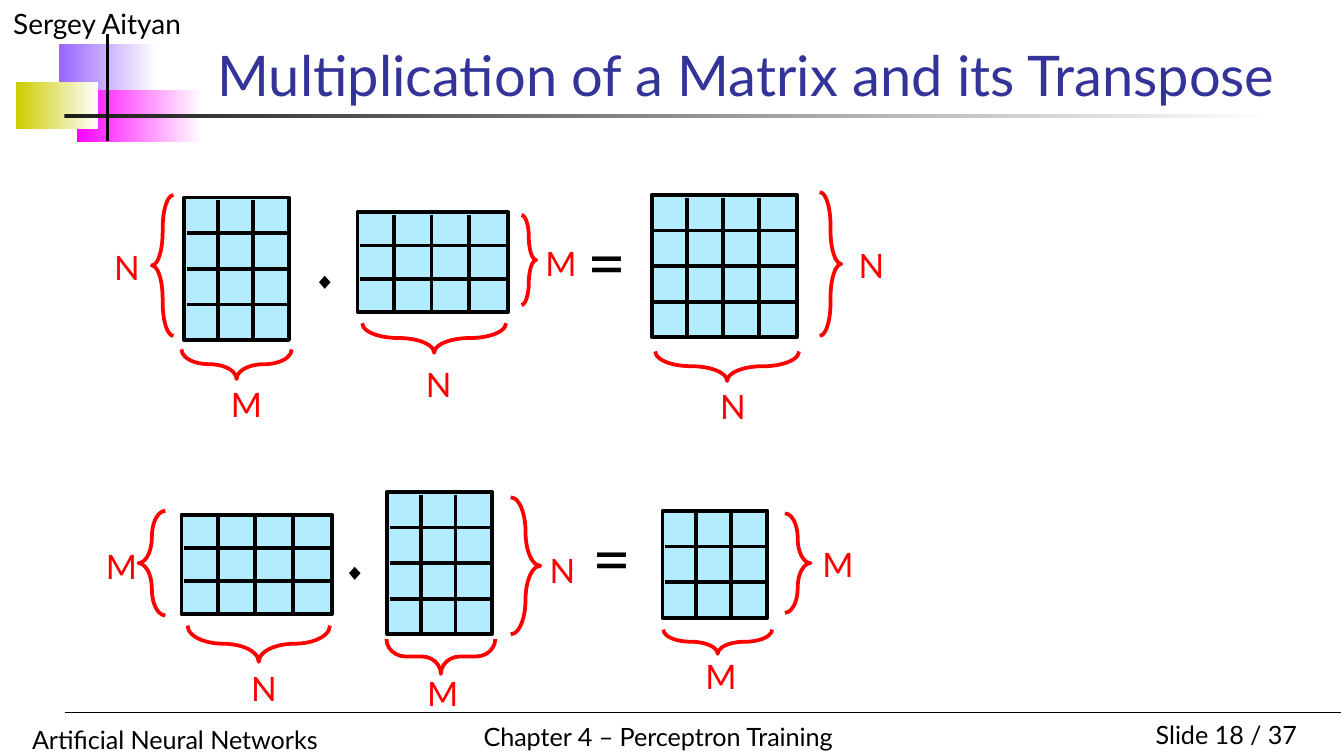
from pptx import Presentation
from pptx.dml.color import RGBColor
from pptx.enum.shapes import MSO_CONNECTOR, MSO_SHAPE
from pptx.enum.text import MSO_ANCHOR, PP_ALIGN
from pptx.oxml import parse_xml
from pptx.oxml.ns import nsdecls
from pptx.util import Inches, Pt

deck = Presentation()
deck.slide_width = Inches(10)
deck.slide_height = deck.slide_width * 9 // 16
page = deck.slides.add_slide(deck.slide_layouts[6])
column, row = deck.slide_width / 100, deck.slide_height / 56.25


def cells(*values):
    return [round(value * (row if index % 2 else column)) for index, value in enumerate(values)]


def color(hex_value):
    return RGBColor.from_string(hex_value)


gradient_bars = [
    (4.4, 3.3, 7.3, 3.9, "9966FF"),
    (5.7, 6.7, 9.3, 3.9, "FF00FF"),
    (1.2, 6.1, 6.1, 3.5, "CCCC00"),
    (4.8, 8.5, 90, 0.3, "1C1C1C"),
]
for *place, start in gradient_bars:
    bar = page.shapes.add_shape(MSO_SHAPE.RECTANGLE, *cells(*place))
    bar.shadow.inherit = False
    bar.line.fill.background()
    bar.fill.gradient()
    bar.fill.gradient_angle = 0
    for stop, position, shade in zip(bar.fill.gradient_stops, (0, 1), (start, "FFFFFF")):
        stop.position = position
        stop.color.rgb = color(shade)

lines = [(4.8, 53, 99.8, 53, 0.75), (8, 2.5, 8, 10.5, 2)]

matrices = [
    (13.7, 14.7, 7.8, 10.6, 4, 3),
    (26.6, 15.8, 11.2, 7.4, 3, 4),
    (48.5, 14.5, 10.8, 10.6, 4, 4),
    (13.5, 38.3, 11.2, 7.4, 3, 4),
    (28.8, 36.6, 7.8, 10.6, 4, 3),
    (49.3, 38, 7.8, 8, 3, 3),
]
for left, top, width, height, row_count, column_count in matrices:
    matrix = page.shapes.add_shape(MSO_SHAPE.RECTANGLE, *cells(left, top, width, height))
    matrix.shadow.inherit = False
    matrix.fill.solid()
    matrix.fill.fore_color.rgb = color("B3EBFF")
    matrix.line.color.rgb = color("000000")
    matrix.line.width = Pt(2)
    for index in range(1, row_count):
        y = top + height * index / row_count
        lines.append((left + 0.2, y, left + width + 0.1, y, 2))
    for index in range(1, column_count):
        x = left + width * index / column_count - 0.1
        lines.append((x, top + 0.2, x, top + height - 0.1, 2))

for *ends, weight in lines:
    line = page.shapes.add_connector(MSO_CONNECTOR.STRAIGHT, *cells(*ends))
    line.line.color.rgb = color("000000")
    line.line.width = Pt(weight)
    line._element.spPr.append(parse_xml(f"<a:effectLst {nsdecls('a')}/>"))

facing_right, facing_down, facing_left = 0, 90, 180
braces = [
    (11.3, 14.5, 1.6, 10.5, facing_left, 1.56),
    (38.8, 16, 1.1, 6.7, facing_right, 1.56),
    (61, 14.3, 1.6, 10.7, facing_right, 1.56),
    (16.5, 23, 2.2, 8.2, facing_down, 1.56),
    (31.2, 19.8, 2.2, 10.7, facing_down, 1.56),
    (53, 21.9, 2.2, 10.7, facing_down, 1.56),
    (10.3, 38, 2, 7.8, facing_left, 1.56),
    (38, 37, 2.2, 10.2, facing_right, 1.56),
    (58.4, 38.2, 1.9, 7.4, facing_right, 1.56),
    (17.9, 42.6, 2.7, 10.6, facing_down, 1.56),
    (31.5, 44.8, 2.6, 8.1, facing_down, 0.55),
    (52.5, 43.7, 1.8, 8.1, facing_down, 1.56),
]
for *place, rotation, curve in braces:
    brace = page.shapes.add_shape(MSO_SHAPE.RIGHT_BRACE, *cells(*place))
    brace.shadow.inherit = False
    brace.rotation = rotation
    brace.adjustments[0] = curve
    brace.fill.background()
    brace.line.color.rgb = color("FF0000")
    brace.line.width = Pt(2)

styles = {
    "title": ({"size": Pt(30)}, "333399"),
    "author": ({"size": Pt(15)}, "000000"),
    "footer": ({"size": Pt(13.5)}, "000000"),
    "dimension": ({"size": Pt(18)}, "FF0000"),
    "operator": ({"size": Pt(36)}, "000000"),
}
texts = [
    ("Sergey Aityan", "author", 0, 0, 25, 3.5),
    ("Slide 18 / 37", "footer", 82.5, 53, 15, 3.3),
    ("Artificial Neural Networks", "footer", 1.4, 53.4, 37, 3.3),
    ("Chapter 4 – Perceptron Training", "footer", 35, 53.2, 28.6, 3.3),
    ("Multiplication of a Matrix and its Transpose", "title", 15.2, 3.1, 82.3, 5.4),
    ("٠", "operator", 22, 17, 3.8, 6.2),
    ("=", "operator", 42.7, 15.9, 3.8, 6.2),
    ("٠", "operator", 24.2, 38.7, 3.8, 6.2),
    ("=", "operator", 43.1, 37.9, 3.8, 6.2),
]
dimensions = {
    "N": [(7.5, 17.9), (30.7, 26.6), (52.6, 28.2), (62.9, 17.7), (39.9, 40.4), (17.7, 49.2)],
    "M": [(16.2, 28.1), (39.6, 17.6), (6.9, 40.1), (30.8, 49.6), (60.2, 40), (51.5, 48.3)],
}
for letter, places in dimensions.items():
    texts += [(letter, "dimension", *place, 3.9, 3.6) for place in places]

for words, style, *place in texts:
    box = page.shapes.add_textbox(*cells(*place))
    frame = box.text_frame
    frame.word_wrap = True
    frame.vertical_anchor = MSO_ANCHOR.BOTTOM if style == "title" else MSO_ANCHOR.TOP
    para = frame.paragraphs[0]
    para.alignment = PP_ALIGN.RIGHT if words.startswith("Slide") else PP_ALIGN.LEFT
    span = para.add_run()
    span.text = words
    font_format, shade = styles[style]
    for name, value in {"name": "Lato", **font_format}.items():
        setattr(span.font, name, value)
    span.font.color.rgb = color(shade)

deck.save("out.pptx")
